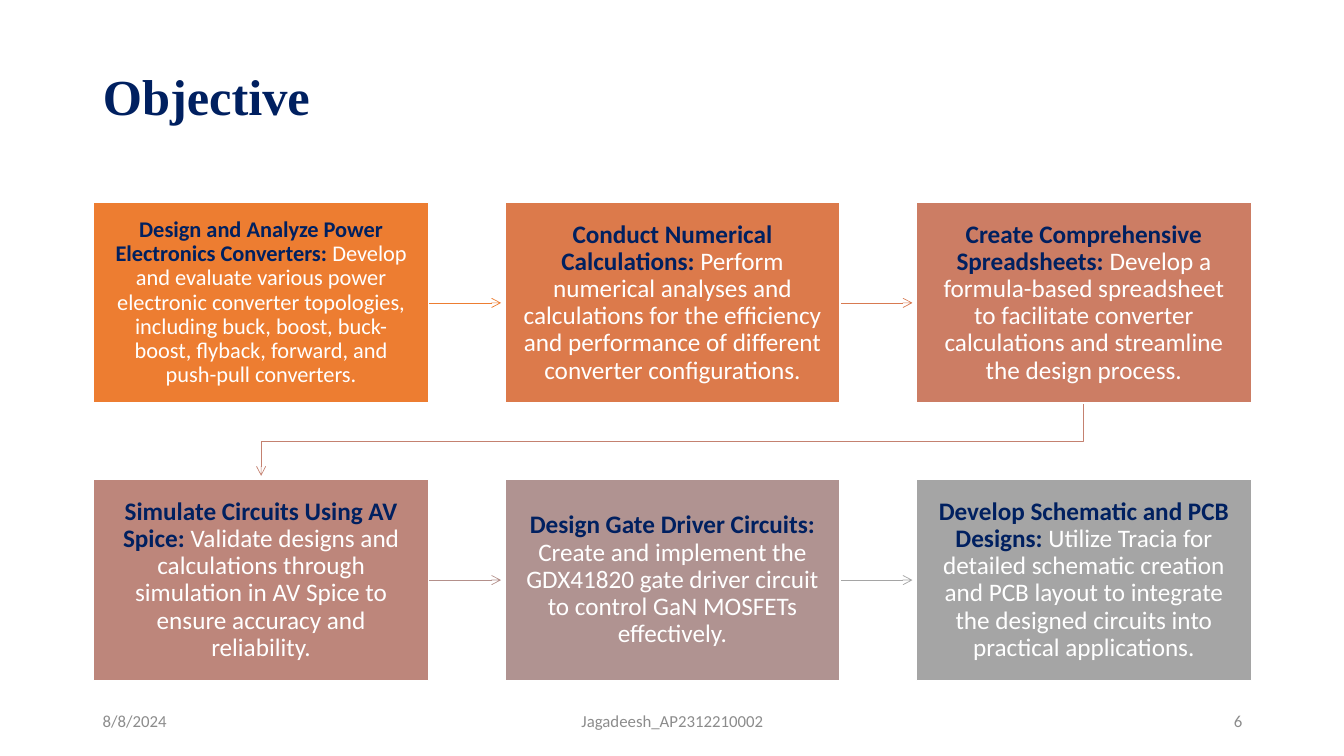
from dataclasses import dataclass

from pptx import Presentation
from pptx.dml.color import RGBColor
from pptx.enum.shapes import MSO_CONNECTOR, MSO_SHAPE
from pptx.enum.text import MSO_ANCHOR, MSO_AUTO_SIZE, PP_ALIGN
from pptx.oxml.ns import qn
from pptx.util import Inches, Pt
from lxml.etree import SubElement


@dataclass(frozen=True)
class Theme:
    navy: str = "002060"
    white: str = "FFFFFF"
    gray: str = "8C8C8C"
    heading_font: str = "Times New Roman"
    body_font: str = "Calibri"
    title_size: int = 36
    footer_size: int = 12
    border: float = 1
    arrow: float = 0.5


class SlideBuilder:
    def __init__(self, prs, theme):
        self.theme = theme
        self.slide = prs.slides.add_slide(prs.slide_layouts[5])

    def run(self, p, text, size, color, font=None, bold=False):
        r = p.add_run()
        r.text = text
        r.font.name = font or self.theme.body_font
        r.font.size = Pt(size)
        r.font.bold = bold
        r.font.color.rgb = RGBColor.from_string(color)

    def title(self, text, x, y, w, h):
        t = self.theme
        s = self.slide.shapes.title
        s.left, s.top, s.width, s.height = map(Inches, (x, y, w, h))
        tf = s.text_frame
        tf.auto_size = MSO_AUTO_SIZE.NONE
        tf.vertical_anchor = MSO_ANCHOR.TOP
        tf.margin_top = Inches(0.1)
        p = tf.paragraphs[0]
        p.alignment, p.line_spacing = PP_ALIGN.LEFT, 0.9
        self.run(p, text, t.title_size, t.navy, t.heading_font, bold=True)

    def footer(self, text, x, w, align):
        sp = self.slide.shapes.add_textbox(*map(Inches, (x, 6.95, w, 0.4)))
        tf = sp.text_frame
        tf.word_wrap = True
        tf.vertical_anchor = MSO_ANCHOR.MIDDLE
        p = tf.paragraphs[0]
        p.alignment = align
        self.run(p, text, self.theme.footer_size, self.theme.gray)

    def step(self, x, y, w, h, fill, size, heading, body):
        t = self.theme
        sp = self.slide.shapes.add_shape(MSO_SHAPE.RECTANGLE, *map(Inches, (x, y, w, h)))
        sp.shadow.inherit = False
        sp.fill.solid()
        sp.fill.fore_color.rgb = RGBColor.from_string(fill)
        sp.line.color.rgb = RGBColor.from_string(t.white)
        sp.line.width = Pt(t.border)
        tf = sp.text_frame
        tf.word_wrap = True
        tf.vertical_anchor = MSO_ANCHOR.MIDDLE
        tf.margin_left = tf.margin_right = Inches(0.16)
        tf.margin_top = tf.margin_bottom = Inches(0.17)
        p = tf.paragraphs[0]
        p.alignment, p.line_spacing = PP_ALIGN.CENTER, 0.9
        self.run(p, heading + " ", size, t.navy, bold=True)
        self.run(p, body, size, t.white)

    def arrow(self, points, color):
        """Draw a straight connector for two points, an open bent path for more."""
        points = [(Inches(x), Inches(y)) for x, y in points]
        shapes = self.slide.shapes
        if len(points) == 2:
            s = shapes.add_connector(MSO_CONNECTOR.STRAIGHT, *points[0], *points[1])
            SubElement(s._element.spPr, qn("a:effectLst"))
        else:
            builder = shapes.build_freeform(*points[0])
            builder.add_line_segments(points[1:], close=False)
            s = builder.convert_to_shape()
            s.fill.background()
            s.shadow.inherit = False
        s.line.color.rgb = RGBColor.from_string(color)
        s.line.width = Pt(self.theme.arrow)
        SubElement(s.line._get_or_add_ln(), qn("a:tailEnd"), type="arrow")


STEPS = [
    ("ED7D31", 16, "Design and Analyze Power Electronics Converters:",
     "Develop and evaluate various power electronic converter topologies, including "
     "buck, boost, buck-boost, flyback, forward, and push-pull converters."),
    ("DC7A4B", 18, "Conduct Numerical Calculations:",
     "Perform numerical analyses and calculations for the efficiency and performance "
     "of different converter configurations."),
    ("CC7D64", 18, "Create Comprehensive Spreadsheets:",
     "Develop a formula-based spreadsheet to facilitate converter calculations and "
     "streamline the design process."),
    ("BD867B", 18, "Simulate Circuits Using AV Spice:",
     "Validate designs and calculations through simulation in AV Spice to ensure "
     "accuracy and reliability."),
    ("B09391", 18, "Design Gate Driver Circuits:",
     "Create and implement the GDX41820 gate driver circuit to control GaN MOSFETs "
     "effectively."),
    ("A5A5A5", 18, "Develop Schematic and PCB Designs:",
     "Utilize Tracia for detailed schematic creation and PCB layout to integrate the "
     "designed circuits into practical applications."),
]
ARROW_COLORS = ["ED7D31", "D87A51", "C48170", "B4908B", "A5A5A5"]
COLUMNS = 3
LEFT, TOP = 0.93, 2.01
BOX_W, BOX_H = 3.32, 1.99
PITCH_X, PITCH_Y = 4.08, 2.75
GAP = 0.04


def corner(i):
    """Return the left and top of step i in the grid."""
    row, col = divmod(i, COLUMNS)
    return LEFT + col * PITCH_X, TOP + row * PITCH_Y


def route(i):
    """Return the arrow points from step i to the next step."""
    x, y = corner(i)
    next_x, next_y = corner(i + 1)
    if y == next_y:
        mid = y + BOX_H / 2
        return [(x + BOX_W, mid), (next_x - GAP, mid)]
    start, end = x + BOX_W / 2, next_x + BOX_W / 2
    bend = (y + BOX_H + next_y) / 2
    return [(start, y + BOX_H), (start, bend), (end, bend), (end, next_y - GAP)]


def main():
    prs = Presentation()
    prs.slide_width, prs.slide_height = Inches(13.33), Inches(7.5)
    page = SlideBuilder(prs, Theme())
    page.title("Objective", 0.92, 0.61, 11.5, 1.24)
    page.footer("8/8/2024", 0.92, 3, PP_ALIGN.LEFT)
    page.footer("Jagadeesh_AP2312210002", 4.42, 4.5, PP_ALIGN.CENTER)
    page.footer("6", 9.42, 3, PP_ALIGN.RIGHT)
    for i, color in enumerate(ARROW_COLORS):
        page.arrow(route(i), color)
    for i, step in enumerate(STEPS):
        page.step(*corner(i), BOX_W, BOX_H, *step)
    prs.save("out.pptx")


if __name__ == "__main__":
    main()
